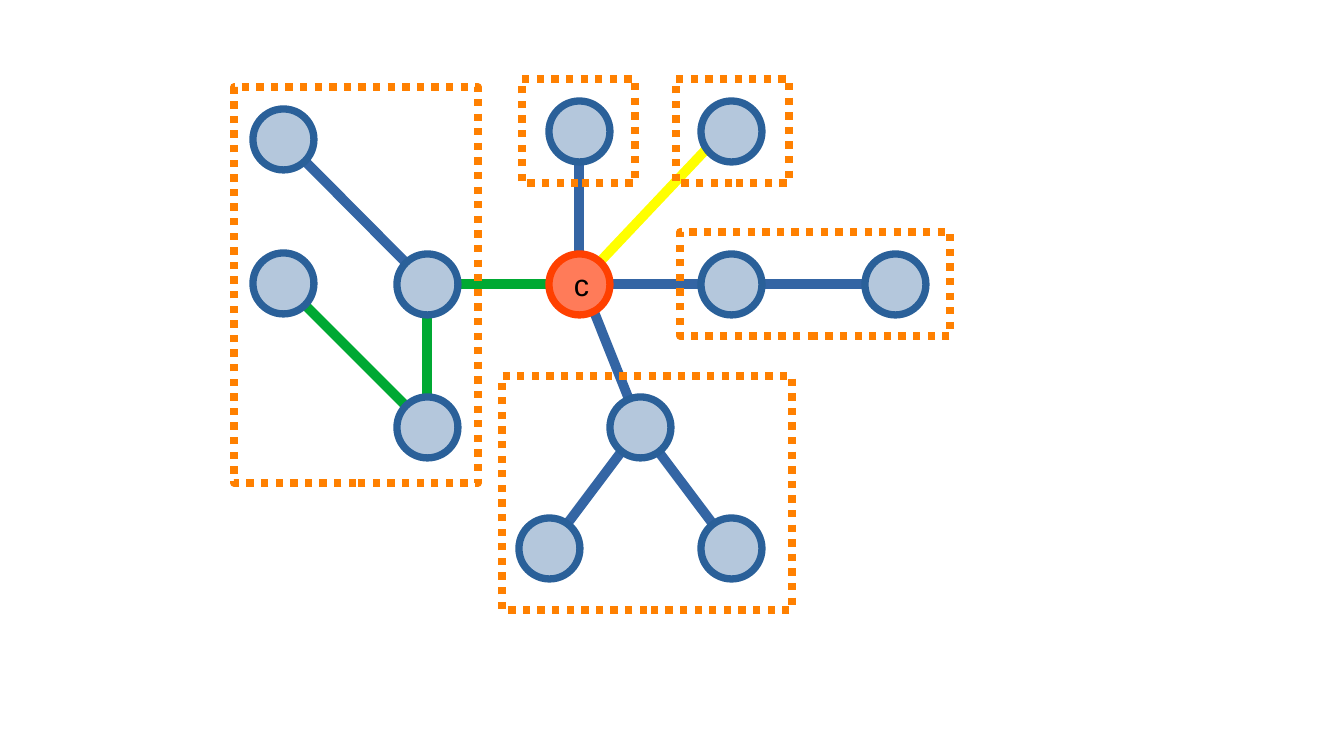
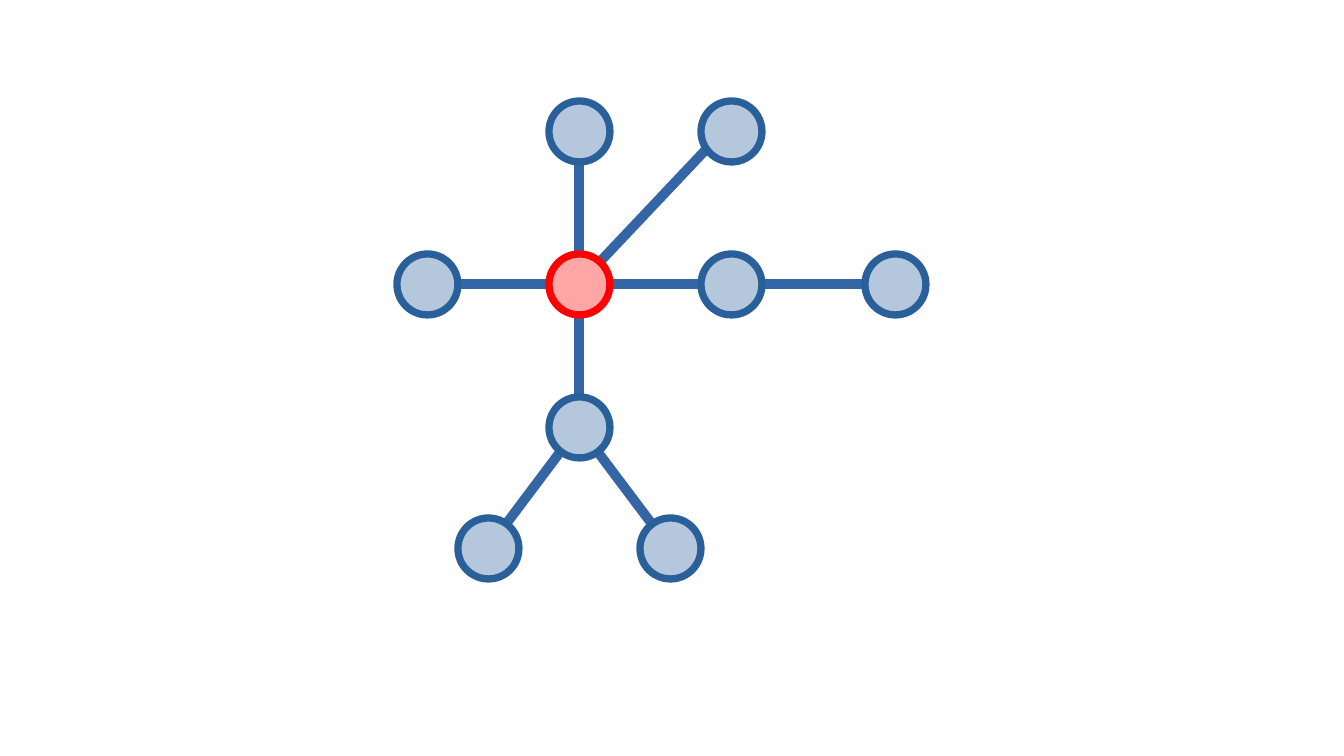
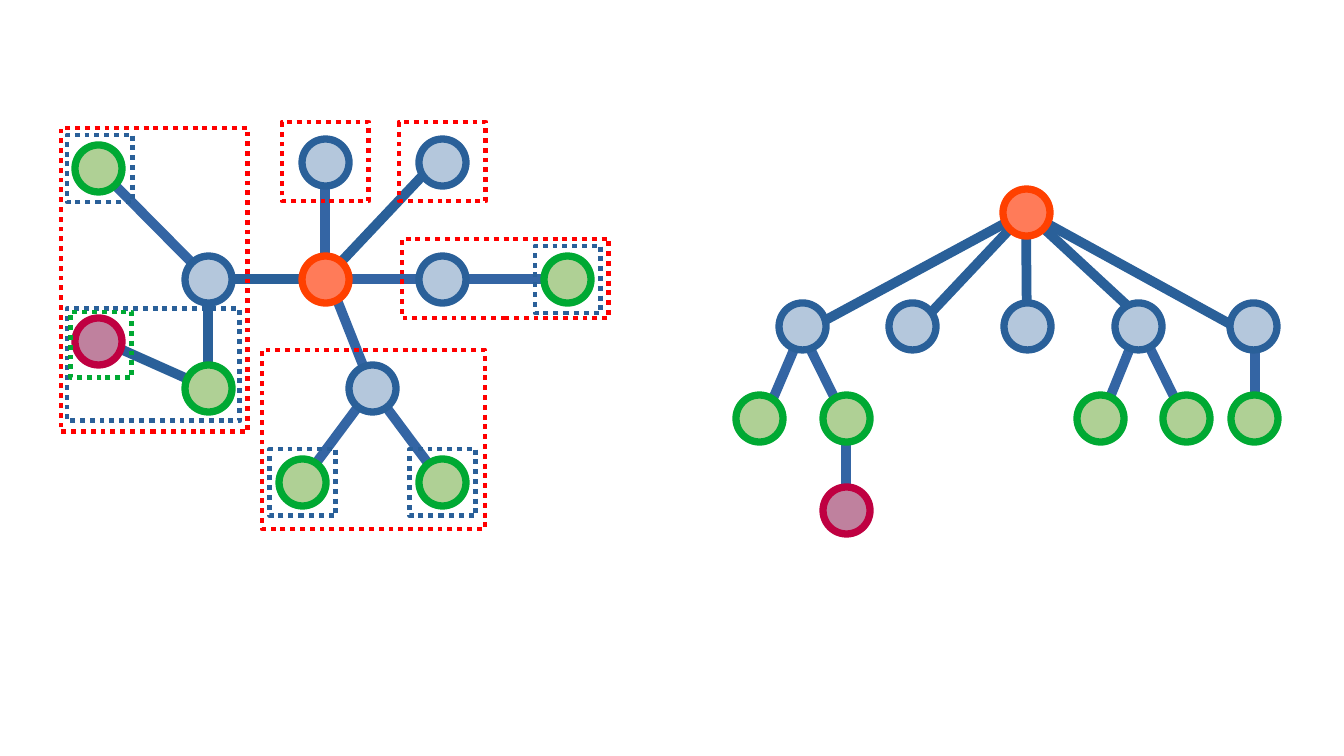
from lxml.etree import SubElement
from pptx import Presentation
from pptx.dml.color import RGBColor
from pptx.enum.dml import MSO_LINE as Dash
from pptx.enum.shapes import MSO_CONNECTOR as Link, MSO_SHAPE as Kind
from pptx.enum.text import MSO_ANCHOR as Anchor, PP_ALIGN as Align
from pptx.oxml.ns import qn
from pptx.util import Emu, Pt

SCALE = 914400 / 122  # EMU in one px

BLACK = RGBColor(0x00, 0x00, 0x00)
BLUE = RGBColor(0x34, 0x65, 0xA4)
NAVY = RGBColor(0x2A, 0x60, 0x99)
PALE = RGBColor(0xB4, 0xC7, 0xDC)
GREEN = RGBColor(0x00, 0xA9, 0x33)
MINT = RGBColor(0xAF, 0xD0, 0x95)
YELLOW = RGBColor(0xFF, 0xFF, 0x00)
AMBER = RGBColor(0xFF, 0x80, 0x00)
FLAME = RGBColor(0xFF, 0x40, 0x00)
CORAL = RGBColor(0xFF, 0x7B, 0x59)
RED = RGBColor(0xFF, 0x00, 0x00)
PINK = RGBColor(0xFF, 0xA6, 0xA6)
WINE = RGBColor(0xBF, 0x00, 0x41)
MAUVE = RGBColor(0xBF, 0x81, 0x9E)

# Node styles: fill and outline
PLAIN, LEAF, DEEP = (PALE, NAVY), (MINT, GREEN), (MAUVE, WINE)
ROOT, CORE = (CORAL, FLAME), (PINK, RED)


def px(n):
    return Emu(round(n * SCALE))


class Deck:
    FONT, TEXT = "Arial", Pt(18)
    EDGE, RIM, THIN = Pt(5.75), Pt(4.31), Pt(2.89)

    def __init__(self, width, height):
        self.prs = Presentation()
        self.prs.slide_width, self.prs.slide_height = px(width), px(height)

    def page(self):
        self.slide = self.prs.slides.add_slide(self.prs.slide_layouts[6])

    def shape(self, kind, x, y, w, h, color, weight):
        item = self.slide.shapes.add_shape(kind, px(x), px(y), px(w), px(h))
        item.shadow.inherit = False
        item.line.color.rgb = color
        item.line.width = weight
        return item

    def edge(self, start, end, color):
        line = self.slide.shapes.add_connector(
            Link.STRAIGHT, *map(px, start), *map(px, end))
        line.line.color.rgb = color
        line.line.width = self.EDGE
        SubElement(line._element.spPr, qn("a:effectLst"))

    def node(self, x, y, style, size, label=None):
        fill, rim = style
        half = size // 2
        disc = self.shape(Kind.OVAL, x - half, y - half, size, size, rim, self.RIM)
        disc.fill.solid()
        disc.fill.fore_color.rgb = fill
        if label:
            frame = disc.text_frame
            frame.vertical_anchor = Anchor.MIDDLE
            frame.margin_left = frame.margin_right = px(16)
            frame.margin_top = frame.margin_bottom = px(10)
            para = frame.paragraphs[0]
            para.text, para.alignment = label, Align.CENTER
            para.font.name, para.font.size = self.FONT, self.TEXT
            para.font.color.rgb = BLACK

    def graph(self, nodes, edges, size, labels=()):
        """Draw edges, then nodes; an edge end is a node name or a point."""
        for start, end, color in edges:
            ends = [nodes[e][:2] if isinstance(e, str) else e for e in (start, end)]
            self.edge(*ends, color)
        for name, (x, y, style) in nodes.items():
            self.node(x, y, style, size, dict(labels).get(name))

    def boxes(self, color, weight, *rects):
        for rect in rects:
            frame = self.shape(Kind.RECTANGLE, *rect, color, weight)
            frame.fill.background()
            frame.line.dash_style = Dash.ROUND_DOT


def star(style, fork, join, west, ray):
    """Nodes and edges shared by the first two slides."""
    nodes = {
        "hub": (579, 284, style),
        "west": (427, 284, PLAIN),
        "fork": (fork, 427, PLAIN),
        "left": (fork - 91, 548, PLAIN),
        "right": (fork + 91, 548, PLAIN),
        "east": (731, 284, PLAIN),
        "ray": (731, 131, PLAIN),
        "north": (579, 131, PLAIN),
        "far": (895, 284, PLAIN),
    }
    edges = [
        ("far", "east", BLUE), ((732, 122), "hub", ray), ("north", "hub", BLUE),
        ("hub", "west", west), ("fork", join, BLUE), ("east", "hub", BLUE),
        ("fork", "left", BLUE), ("right", "fork", BLUE),
    ]
    return nodes, edges


def split(deck):
    deck.page()
    nodes, edges = star(ROOT, 640, (579, 274), GREEN, YELLOW)
    nodes |= {"low": (427, 427, PLAIN), "mid": (283, 283, PLAIN),
              "top": (283, 139, PLAIN)}
    edges += [("west", "top", BLUE), ("low", "mid", GREEN), ("low", "west", GREEN)]
    deck.graph(nodes, edges, 61, {"hub": "c"})
    deck.boxes(AMBER, deck.RIM, (234, 87, 244, 396), (502, 376, 290, 234),
               (680, 232, 270, 104), (676, 79, 113, 104), (522, 79, 113, 104))


def core(deck):
    deck.page()
    deck.graph(*star(CORE, 579, "hub", BLUE, BLUE), 61)


def tree(deck):
    deck.page()
    # Nested parts
    nodes = {
        "hub": (325, 279, ROOT),
        "west": (208, 279, PLAIN),
        "fork": (372, 388, PLAIN),
        "left": (302, 482, LEAF),
        "right": (442, 482, LEAF),
        "east": (442, 279, PLAIN),
        "ray": (442, 162, PLAIN),
        "north": (325, 162, PLAIN),
        "far": (567, 279, LEAF),
        "low": (208, 388, LEAF),
        "mid": (98, 341, DEEP),
        "top": (98, 168, LEAF),
    }
    edges = [
        ("west", "top", BLUE), ("low", (107, 343), NAVY), ("low", "west", NAVY),
        ("far", "east", BLUE), ((442, 155), "hub", NAVY), ("north", "hub", BLUE),
        ("hub", "west", NAVY), ("fork", (326, 272), BLUE), ("east", "hub", BLUE),
        ("fork", "left", BLUE), ("right", "fork", BLUE),
    ]
    deck.graph(nodes, edges, 47)
    deck.boxes(RED, deck.THIN, (61, 128, 187, 304), (262, 350, 223, 179),
               (402, 239, 207, 79), (399, 122, 87, 79), (282, 122, 87, 79))
    small = [(x, y, 66, 67) for x, y in
             ((535, 246), (270, 449), (410, 449), (67, 135))]
    deck.boxes(NAVY, deck.THIN, *small, (67, 309, 173, 112))
    deck.boxes(GREEN, deck.THIN, (71, 312, 61, 66))

    # Tree of the centers
    nodes = {"root": (1026, 212, ROOT)}
    for i, x in enumerate((802, 912, 1027, 1138, 1253)):
        nodes[f"kid{i}"] = (x, 326, PLAIN)
    for i, x in enumerate((759, 846, 1100, 1186, 1254)):
        nodes[f"leaf{i}"] = (x, 418, LEAF)
    nodes["tip"] = (846, 510, DEEP)
    twigs = ((804, 761), (799, 849), (1139, 1098), (1139, 1189), (1255, 1255))
    edges = [("leaf1", "tip", BLUE)]
    edges += [((a, 326), (b, 427), BLUE) for a, b in twigs]
    edges += [("root", (x, 335), NAVY) for x in (1250, 798, 1027, 1159, 910)]
    deck.graph(nodes, edges, 47)


def main():
    deck = Deck(1344, 756)
    for draw in (split, core, tree):
        draw(deck)
    deck.prs.save("out.pptx")


if __name__ == "__main__":
    main()
